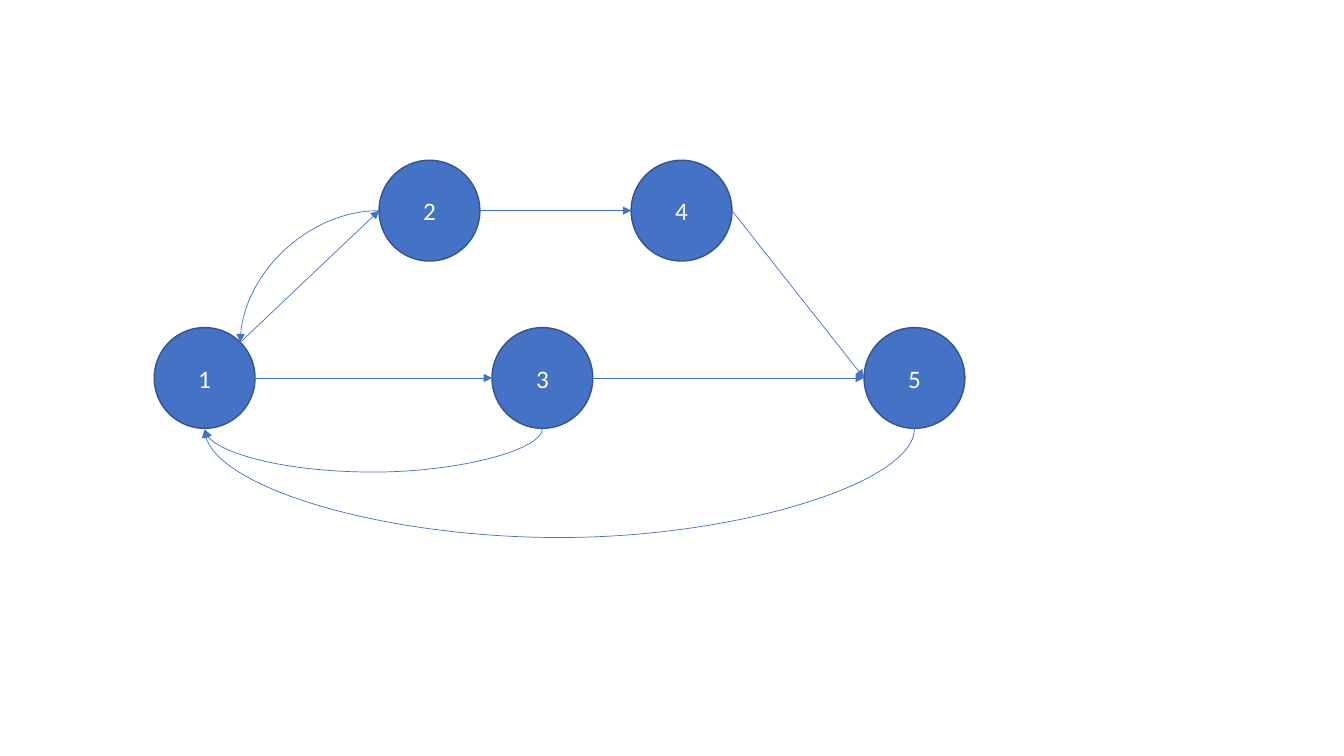
from dataclasses import dataclass
from math import cos, radians, sin

from lxml import etree
from pptx import Presentation
from pptx.dml.color import RGBColor
from pptx.enum.shapes import MSO_CONNECTOR, MSO_SHAPE
from pptx.enum.text import MSO_ANCHOR, PP_ALIGN
from pptx.oxml.ns import qn
from pptx.util import Inches, Pt

OVAL = MSO_SHAPE.OVAL
STRAIGHT, CURVE = MSO_CONNECTOR.STRAIGHT, MSO_CONNECTOR.CURVE
MIDDLE, CENTER = MSO_ANCHOR.MIDDLE, PP_ALIGN.CENTER

# Connection sites of an ellipse run counterclockwise from the top
LEFT, BOTTOM, RIGHT, TOP_RIGHT = 2, 4, 6, 7


@dataclass(frozen=True)
class Theme:
    blue: RGBColor = RGBColor(0x44, 0x72, 0xC4)
    outline: RGBColor = RGBColor(0x32, 0x54, 0x91)
    white: RGBColor = RGBColor(0xFF, 0xFF, 0xFF)
    font: str = "Calibri"
    text_size: Pt = Pt(18)
    outline_width: Pt = Pt(1)
    arrow_width: Pt = Pt(0.5)


THEME = Theme()
DIAMETER = 1.0
GRAPH_BOX = (1.53, 1.59)
UPPER_ROW, LOWER_ROW = 0, 1.66

# Label: left and top within the graph box
NODES = {
    "1": (0, LOWER_ROW),
    "2": (2.23, UPPER_ROW),
    "3": (3.35, LOWER_ROW),
    "4": (4.73, UPPER_ROW),
    "5": (7.04, LOWER_ROW),
}
STRAIGHT_EDGES = [
    ("1", TOP_RIGHT, "2", LEFT),
    ("2", RIGHT, "4", LEFT),
    ("4", RIGHT, "5", LEFT),
    ("1", RIGHT, "3", LEFT),
    ("3", RIGHT, "5", LEFT),
]
# Source, target and depth of the curve in inches
RETURN_EDGES = [("3", "1", 0.44), ("5", "1", 1.1)]


def apply_format(target, values):
    for name, value in values.items():
        setattr(target, name, value)


def add_node(page, label, left, top):
    node = page.shapes.add_shape(
        OVAL, Inches(left), Inches(top), Inches(DIAMETER), Inches(DIAMETER))
    node.shadow.inherit = False
    node.fill.solid()
    node.fill.fore_color.rgb = THEME.blue
    node.line.color.rgb = THEME.outline
    node.line.width = THEME.outline_width
    node.text_frame.vertical_anchor = MIDDLE
    para = node.text_frame.paragraphs[0]
    para.alignment = CENTER
    span = para.add_run()
    span.text = label
    apply_format(span.font, {"name": THEME.font, "size": THEME.text_size})
    span.font.color.rgb = THEME.white
    return node


def site_point(node, site):
    """Return the place of a connection site on the node's rim."""
    radius = node.width / 2
    angle = radians(90 + 45 * site)
    return (round(node.left + radius + radius * cos(angle)),
            round(node.top + radius - radius * sin(angle)))


def add_arrow(page, kind, begin, end):
    arrow = page.shapes.add_connector(kind, *begin, *end)
    arrow.line.color.rgb = THEME.blue
    arrow.line.width = THEME.arrow_width
    properties = arrow._element.spPr
    etree.SubElement(properties.find(qn("a:ln")), qn("a:tailEnd"), type="triangle")
    etree.SubElement(properties, qn("a:effectLst"))
    return arrow


def add_straight_edge(page, source, source_site, target, target_site):
    arrow = add_arrow(page, STRAIGHT, site_point(source, source_site),
                      site_point(target, target_site))
    joints = arrow._element.nvCxnSpPr.cNvCxnSpPr
    for tag, node, site in (("a:stCxn", source, source_site),
                            ("a:endCxn", target, target_site)):
        etree.SubElement(joints, qn(tag), id=str(node.shape_id), idx=str(site))


def add_return_edge(page, source, target, depth):
    """Curve below the row, from bottom to bottom: a thin connector turned by 90 degrees."""
    begin_x, bottom = site_point(source, BOTTOM)
    end_x, _ = site_point(target, BOTTOM)
    thickness = Inches(0.01)
    span = begin_x - end_x
    left = (begin_x + end_x - thickness) // 2
    top = bottom + (thickness - span) // 2
    arrow = add_arrow(page, CURVE, (left, top), (left + thickness, top + span))
    properties = arrow._element.spPr
    properties.find(qn("a:xfrm")).set("rot", "5400000")
    bend = round(Inches(depth) / thickness * 100000)
    adjustments = properties.find(qn("a:prstGeom")).get_or_add_avLst()
    etree.SubElement(adjustments, qn("a:gd"), name="adj1", fmla=f"val {bend}")


def add_quarter_curve(page, source, target):
    arrow = add_arrow(page, CURVE, site_point(source, LEFT),
                      site_point(target, TOP_RIGHT))
    arrow._element.spPr.find(qn("a:prstGeom")).set("prst", "curvedConnector2")


def add_graph(page, left, top):
    nodes = {label: add_node(page, label, left + x, top + y)
             for label, (x, y) in NODES.items()}
    for source, source_site, target, target_site in STRAIGHT_EDGES:
        add_straight_edge(page, nodes[source], source_site, nodes[target], target_site)
    for source, target, depth in RETURN_EDGES:
        add_return_edge(page, nodes[source], nodes[target], depth)
    add_quarter_curve(page, nodes["2"], nodes["1"])


def main():
    deck = Presentation()
    deck.slide_width, deck.slide_height = Inches(13.33), Inches(7.5)
    page = deck.slides.add_slide(deck.slide_layouts[6])
    add_graph(page, *GRAPH_BOX)
    deck.save("out.pptx")


if __name__ == "__main__":
    main()
